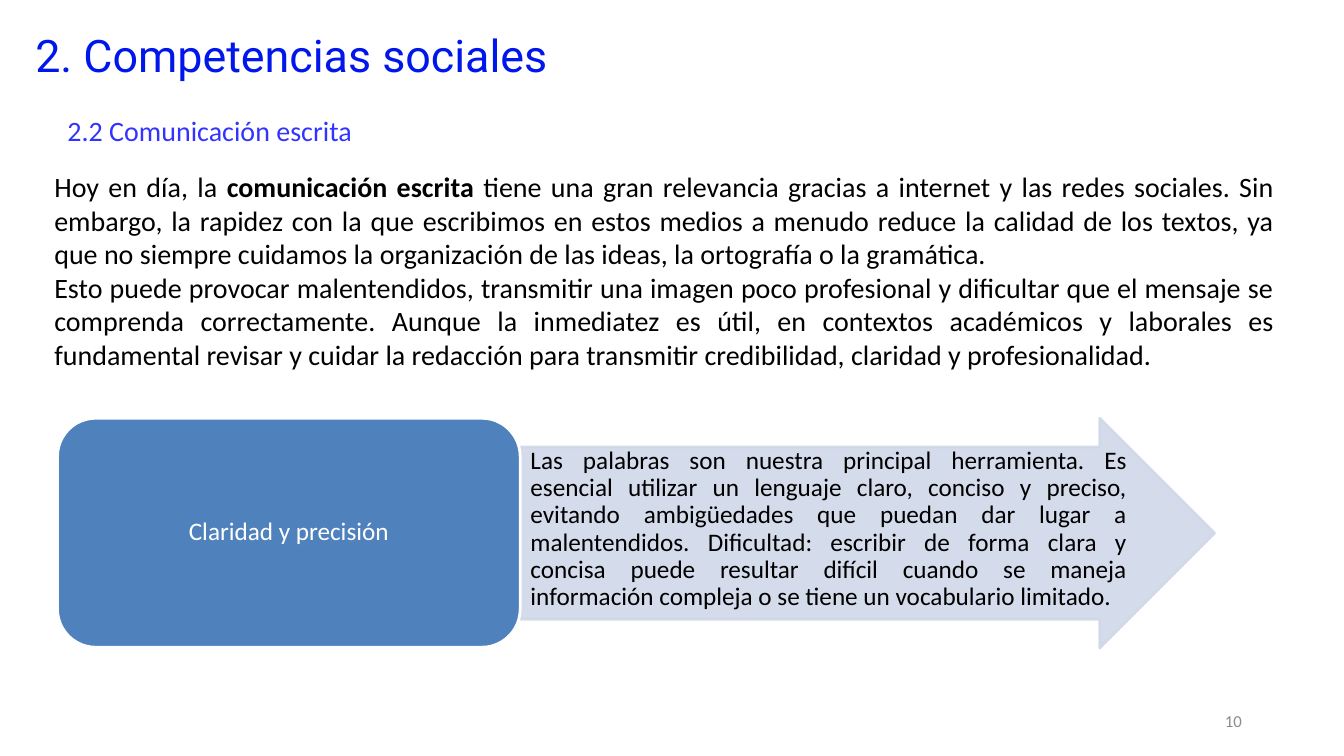
from dataclasses import dataclass

from lxml.etree import SubElement
from pptx import Presentation
from pptx.dml.color import RGBColor
from pptx.enum.shapes import MSO_SHAPE as Shape
from pptx.enum.text import MSO_ANCHOR as Anchor, PP_ALIGN as Align
from pptx.oxml.ns import qn
from pptx.util import Cm, Pt


@dataclass(frozen=True)
class Theme:
    title_blue: str = "0017EC"
    heading_blue: str = "3333FF"
    box_blue: str = "4F81BD"
    arrow_blue: str = "D0D8E8"
    grey: str = "8C8C8C"
    black: str = "000000"
    white: str = "FFFFFF"
    title_font: str = "Roboto"
    text_font: str = "Calibri"
    title_size: int = 32
    body_size: int = 20
    diagram_size: int = 18
    number_size: int = 12
    outline: int = 2


class SlideBuilder:
    def __init__(self, slide, theme):
        self.slide = slide
        self.theme = theme

    def text(self, area, paragraphs, size, color, font=None, align=Align.LEFT,
             anchor=Anchor.TOP, insets=(0.25, 0.13, 0.25, 0.13), spacing=1.0):
        """Each paragraph is a list of (words, bold) pieces; area and insets in cm."""
        frame = self.slide.shapes.add_textbox(*map(Cm, area)).text_frame
        frame.word_wrap = True
        frame.vertical_anchor = anchor
        (frame.margin_left, frame.margin_top,
         frame.margin_right, frame.margin_bottom) = map(Cm, insets)
        for index, pieces in enumerate(paragraphs):
            paragraph = frame.add_paragraph() if index else frame.paragraphs[0]
            paragraph.alignment = align
            paragraph.line_spacing = spacing
            for words, bold in pieces:
                run = paragraph.add_run()
                run.text = words
                run.font.name = font or self.theme.text_font
                run.font.size = Pt(size)
                run.font.bold = bold
                run.font.color.rgb = RGBColor.from_string(color)

    def shape(self, kind, area, fill, line, adjustments=(), opacity=100):
        shape = self.slide.shapes.add_shape(kind, *map(Cm, area))
        shape.shadow.inherit = False
        for index, value in enumerate(adjustments):
            shape.adjustments[index] = value
        shape.line.width = Pt(self.theme.outline)
        shape.fill.solid()
        shape.fill.fore_color.rgb = RGBColor.from_string(fill)
        shape.line.color.rgb = RGBColor.from_string(line)
        if opacity < 100:
            for color in shape._element.spPr.iter(qn("a:srgbClr")):
                SubElement(color, qn("a:alpha")).set("val", str(opacity * 1000))


def main():
    deck = Presentation()
    deck.slide_width, deck.slide_height = Cm(33.87), Cm(19.05)
    theme = Theme()
    page = SlideBuilder(deck.slides.add_slide(deck.slide_layouts[6]), theme)

    # Title, page number and section heading
    page.text((0.89, 0.69, 23.01, 1.37), [[("2. Competencias sociales", False)]],
              theme.title_size, theme.title_blue, theme.title_font,
              insets=(0, 0, 0, 0))
    page.text((23.93, 17.65, 7.62, 1.02), [[("10", False)]],
              theme.number_size, theme.grey, align=Align.RIGHT, anchor=Anchor.MIDDLE)
    page.text((1.45, 2.74, 16.94, 1.12), [[("2.2 Comunicación escrita", False)]],
              theme.body_size, theme.heading_blue)

    # Introduction
    introduction = [
        [("Hoy en día, la ", False),
         ("comunicación escrita ", True),
         ("tiene una gran relevancia gracias a internet y las redes sociales. "
          "Sin embargo, la rapidez con la que escribimos en estos medios a menudo "
          "reduce la calidad de los textos, ya que no siempre cuidamos la "
          "organización de las ideas, la ortografía o la gramática.", False)],
        [("Esto puede provocar malentendidos, transmitir una imagen poco profesional "
          "y dificultar que el mensaje se comprenda correctamente. Aunque la "
          "inmediatez es útil, en contextos académicos y laborales es fundamental "
          "revisar y cuidar la redacción para transmitir credibilidad, claridad y "
          "profesionalidad.", False)],
    ]
    page.text((1.12, 4.14, 31.24, 5.38), introduction, theme.body_size,
              theme.black, align=Align.JUSTIFY)

    # Arrow with the explanation
    explanation = (
        "Las palabras son nuestra principal herramienta. Es esencial utilizar un "
        "lenguaje claro, conciso y preciso, evitando ambigüedades que puedan dar "
        "lugar a malentendidos. Dificultad: escribir de forma clara y concisa puede "
        "resultar difícil cuando se maneja información compleja o se tiene un "
        "vocabulario limitado.")
    page.shape(Shape.RIGHT_ARROW, (13.11, 10.54, 17.5, 5.79), theme.arrow_blue,
               theme.arrow_blue, adjustments=(0.75, 0.5), opacity=90)
    page.text((13.11, 11.25, 15.32, 4.34), [[(explanation, False)]],
              theme.diagram_size, theme.black, align=Align.JUSTIFY,
              insets=(0.26, 0.03, 0.03, 0.03), spacing=0.9)

    # Box with the skill
    page.shape(Shape.ROUNDED_RECTANGLE, (1.45, 10.54, 11.66, 5.77),
               theme.box_blue, theme.white)
    page.text((1.73, 10.82, 11.1, 5.21), [[("Claridad y precisión", False)]],
              theme.diagram_size, theme.white, align=Align.CENTER,
              anchor=Anchor.MIDDLE, insets=(0.18, 0.1, 0.18, 0.1), spacing=0.9)

    deck.save("out.pptx")


if __name__ == "__main__":
    main()
